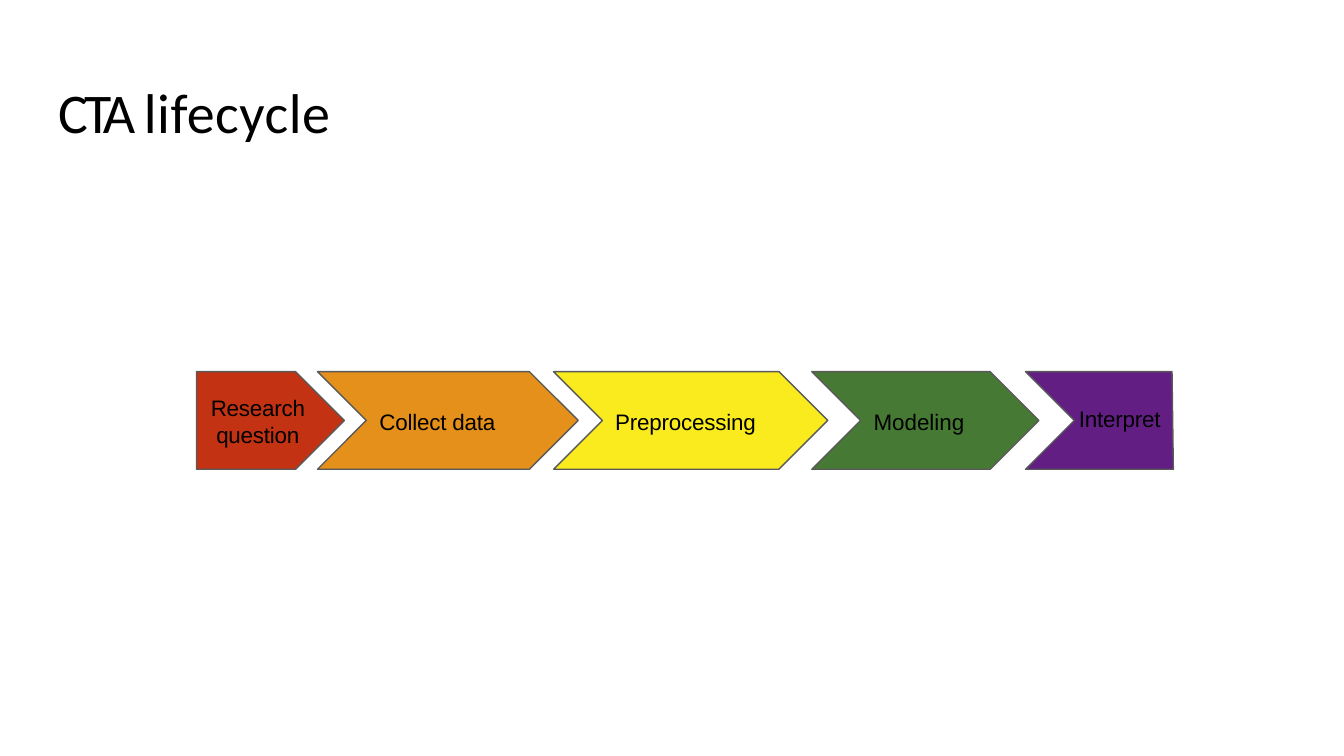
from pptx import Presentation
from pptx.dml.color import RGBColor
from pptx.enum.text import PP_ALIGN
from pptx.util import Pt

LEFT = PP_ALIGN.LEFT
CENTER = PP_ALIGN.CENTER
GRAY = "595959"
BLACK = "000000"
STAGES = [
    ("Collect data", "E4901B", 170.1, 139.7, True, True, (32.2, 17.5, 66, 16), LEFT),
    ("Preprocessing", "F9EB1E", 296.6, 146.9, True, True, (32, 17.5, 79, 16), LEFT),
    ("Modeling", "467A34", 434.9, 121.7, True, True, (32.1, 17.5, 52, 16), LEFT),
    ("Research question", "C33313", 105.3, 79.2, False, True, (5.6, 10.4, 53.5, 31), CENTER),
    ("Interpret", "631E84", 549.4, 79.2, True, False, (27.6, 16, 47, 16), LEFT),
]


def color(code):
    return RGBColor.from_string(code)


def write(slide, runs, box, size=12, font="Arial", align=LEFT, lead=None):
    label = slide.shapes.add_textbox(*map(Pt, box))
    frame = label.text_frame
    frame.word_wrap = True
    frame.margin_left = Pt(1)
    frame.margin_top = Pt(2)
    frame.margin_right = frame.margin_bottom = 0
    para = frame.paragraphs[0]
    para.alignment = align
    if lead:
        para.line_spacing = Pt(lead)
    for text, space in runs:
        run = para.add_run()
        run.text = text
        run.font.size = Pt(size)
        run.font.name = font
        run.font.color.rgb = color(BLACK)
        run._r.get_or_add_rPr().set("spc", str(round(space * 100)))


def stage(slide, box, fill, notch, point):
    left, top, width, height = box
    right, bottom = left + width, top + height
    half = height / 2
    edge = right - half if point else right
    spots = [(edge if point else right - 0.7, top)]
    if point:
        spots.append((right, top + half))
    spots += [(edge, bottom), (left, bottom)]
    if notch:
        spots.append((left + half, top + half))
    pen = slide.shapes.build_freeform(Pt(left), Pt(top))
    pen.add_line_segments([(Pt(x), Pt(y)) for x, y in spots], close=True)
    shape = pen.convert_to_shape()
    shape.shadow.inherit = False
    shape.fill.solid()
    shape.fill.fore_color.rgb = color(fill)
    shape.line.color.rgb = color(GRAY)
    shape.line.width = Pt(0.75)


def flow(slide, top, height):
    for name, fill, left, width, notch, point, place, align in STAGES:
        stage(slide, (left, top, width, height), fill, notch, point)
        x, y, wide, high = place
        lead = 14.3 if align == CENTER else None
        space = 0 if name == "Modeling" else -0.1
        write(slide, [(name, space)], (left + x, top + y, wide, high),
              align=align, lead=lead)


def main():
    deck = Presentation()
    deck.slide_width = Pt(720)
    deck.slide_height = Pt(405)
    slide = deck.slides.add_slide(deck.slide_layouts[6])
    write(slide, [("CTA ", -2.2), ("lifecycle", 0.3)],
          (30.2, 39.6, 186, 37.5), size=30, font="Calibri")
    flow(slide, 199.1, 52.3)
    deck.save("out.pptx")


if __name__ == "__main__":
    main()
